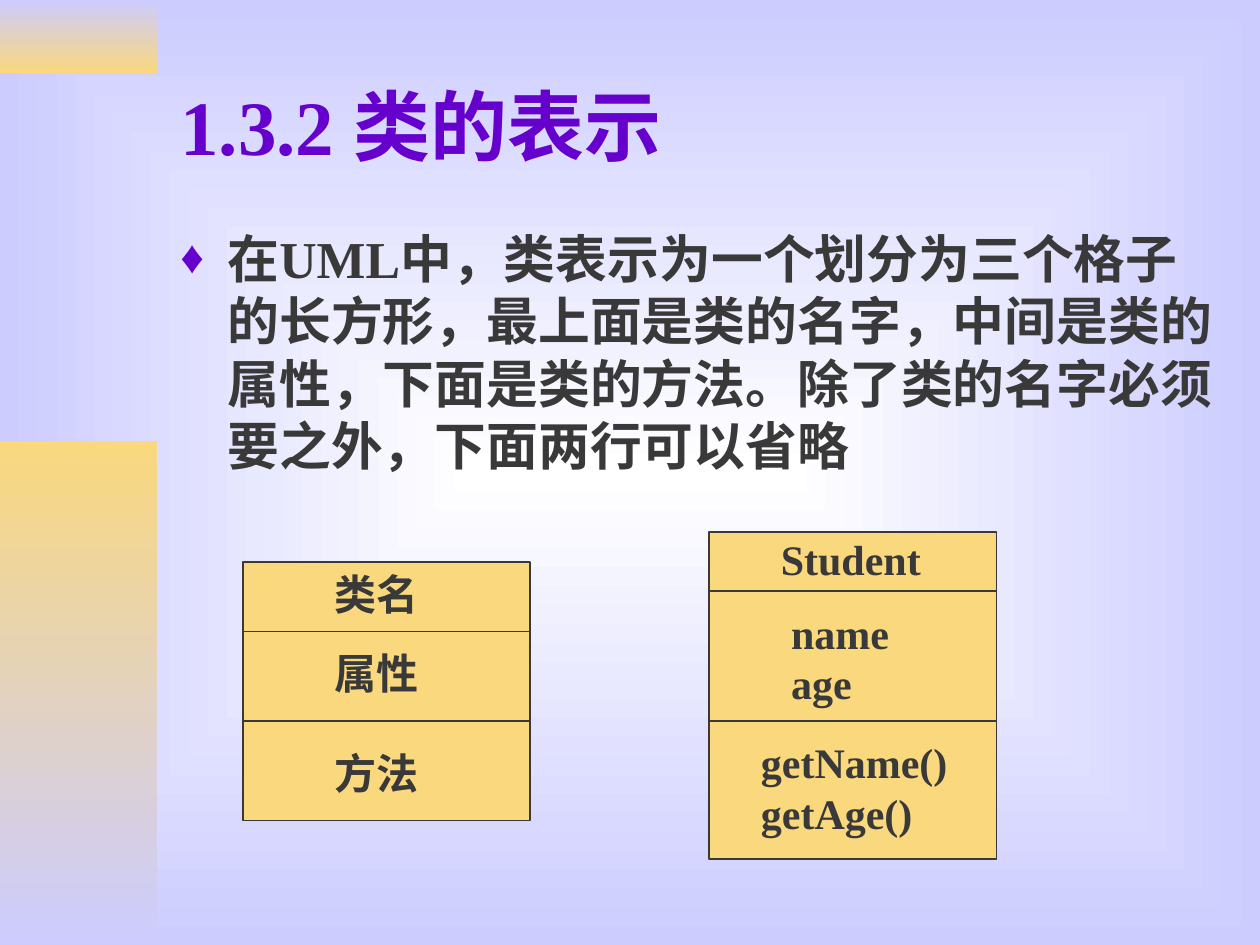
from lxml import etree
from pptx import Presentation
from pptx import util as u
from pptx.dml.color import RGBColor
from pptx.enum import shapes, text
from pptx.oxml.ns import qn

FONT = "Times New Roman"
COLORS = {"title": "6600CC", "ink": "393939", "gold": "F9D87E",
          "lilac": "CCCCFF", "white": "FFFFFF"}


def rgb(name):
    return RGBColor.from_string(COLORS[name])


def set_gradient(fill, start, end):
    fill.gradient()
    for stop, name in zip(fill.gradient_stops, (start, end)):
        stop.color.rgb = rgb(name)


def paint_background(s):
    fill = s.background.fill
    set_gradient(fill, "white", "lilac")
    # Swap the linear direction for a rectangle from the centre
    lin = s.background._cSld.find(".//" + qn("a:lin"))
    path = etree.Element(qn("a:path"), {"path": "rect"})
    etree.SubElement(path, qn("a:fillToRect"), dict.fromkeys("ltrb", "50000"))
    lin.getparent().replace(lin, path)


def add_box(s, x, y, w, h):
    sp = s.shapes.add_shape(shapes.MSO_SHAPE.RECTANGLE,
                            u.Cm(x), u.Cm(y), u.Cm(w), u.Cm(h))
    sp.shadow.inherit = False
    return sp


def add_side_band(s, y, h, start, end):
    sp = add_box(s, 0, y, 3.17, h)
    set_gradient(sp.fill, start, end)
    sp.fill.gradient_angle = 270
    sp.line.fill.background()


def add_divider(s, x, y, w):
    line = s.shapes.add_connector(shapes.MSO_CONNECTOR.STRAIGHT,
                                  u.Cm(x), u.Cm(y), u.Cm(x + w), u.Cm(y))
    line.line.color.rgb = rgb("ink")
    line.line.width = u.Pt(1)
    etree.SubElement(line._element.spPr, qn("a:effectLst"))


def write(tf, content, size, color):
    tf.text = content
    tf.word_wrap = True
    p = tf.paragraphs[0]
    p.alignment = text.PP_ALIGN.LEFT
    p.space_before = u.Pt(0)
    for r in p.runs:
        r.font.name = FONT
        r.font.size = u.Pt(size)
        r.font.bold = True
        r.font.color.rgb = rgb(color)
    return p


def add_label(s, content, x, y, w, h):
    tf = s.shapes.add_textbox(u.Cm(x), u.Cm(y), u.Cm(w), u.Cm(h)).text_frame
    write(tf, content, 24, "ink")
    tf.auto_size = text.MSO_AUTO_SIZE.SHAPE_TO_FIT_TEXT


def add_class(s, x, y, h, dividers, labels, w=5.79):
    sp = add_box(s, x, y, w, h)
    sp.fill.solid()
    sp.fill.fore_color.rgb = rgb("gold")
    sp.line.color.rgb = rgb("ink")
    sp.line.width = u.Pt(1)
    for line_y in dividers:
        add_divider(s, x, line_y, w)
    for label in labels:
        add_label(s, *label)


def fill_placeholder(sp, content, size, color, y, h, anchor):
    sp.left, sp.top, sp.width, sp.height = map(u.Cm, (3.38, y, 21.59, h))
    p = write(sp.text_frame, content, size, color)
    sp.text_frame.auto_size = text.MSO_AUTO_SIZE.NONE
    sp.text_frame.vertical_anchor = anchor
    return p


def add_diamond_bullet(p):
    pPr = p._p.get_or_add_pPr()
    pPr.set("marL", str(u.Cm(0.95)))
    pPr.set("indent", str(-u.Cm(0.95)))
    color = etree.SubElement(pPr, qn("a:buClr"))
    etree.SubElement(color, qn("a:srgbClr"), val=COLORS["title"])
    etree.SubElement(pPr, qn("a:buSzPct"), val="90000")
    etree.SubElement(pPr, qn("a:buFont"), typeface=FONT)
    etree.SubElement(pPr, qn("a:buChar"), char="♦")


def main():
    prs = Presentation()
    prs.slide_width, prs.slide_height = u.Cm(25.4), u.Cm(19.05)
    s = prs.slides.add_slide(prs.slide_layouts[1])

    # Background and side bands
    paint_background(s)
    add_side_band(s, 0, 1.47, "lilac", "gold")
    add_side_band(s, 8.89, 10.16, "gold", "lilac")

    # Title and explanation
    fill_placeholder(s.shapes.title, "1.3.2 类的表示", 44, "title",
                     0.84, 3.35, text.MSO_ANCHOR.MIDDLE)
    p = fill_placeholder(
        s.placeholders[1],
        "在UML中，类表示为一个划分为三个格子的长方形，最上面是类的名字，"
        "中间是类的属性，下面是类的方法。除了类的名字必须要之外，"
        "下面两行可以省略",
        29.6, "ink", 4.45, 5.69, text.MSO_ANCHOR.TOP)
    add_diamond_bullet(p)

    # General class diagram
    add_class(s, 4.9, 11.33, 5.21, (12.73, 14.53), [
        ("类名", 6.5, 11.33, 3, 1.27),
        ("属性", 6.5, 12.93, 2.39, 1.27),
        ("方法", 6.5, 14.94, 2.59, 1.27)])

    # Student example
    add_class(s, 14.3, 10.72, 6.6, (11.91, 14.53), [
        ("Student", 15.49, 10.64, 3.81, 1.27),
        ("name\vage", 15.7, 12.12, 2.79, 2.29),
        ("getName()\vgetAge()", 15.09, 14.73, 4.6, 2.29)])

    prs.save("out.pptx")


if __name__ == "__main__":
    main()
